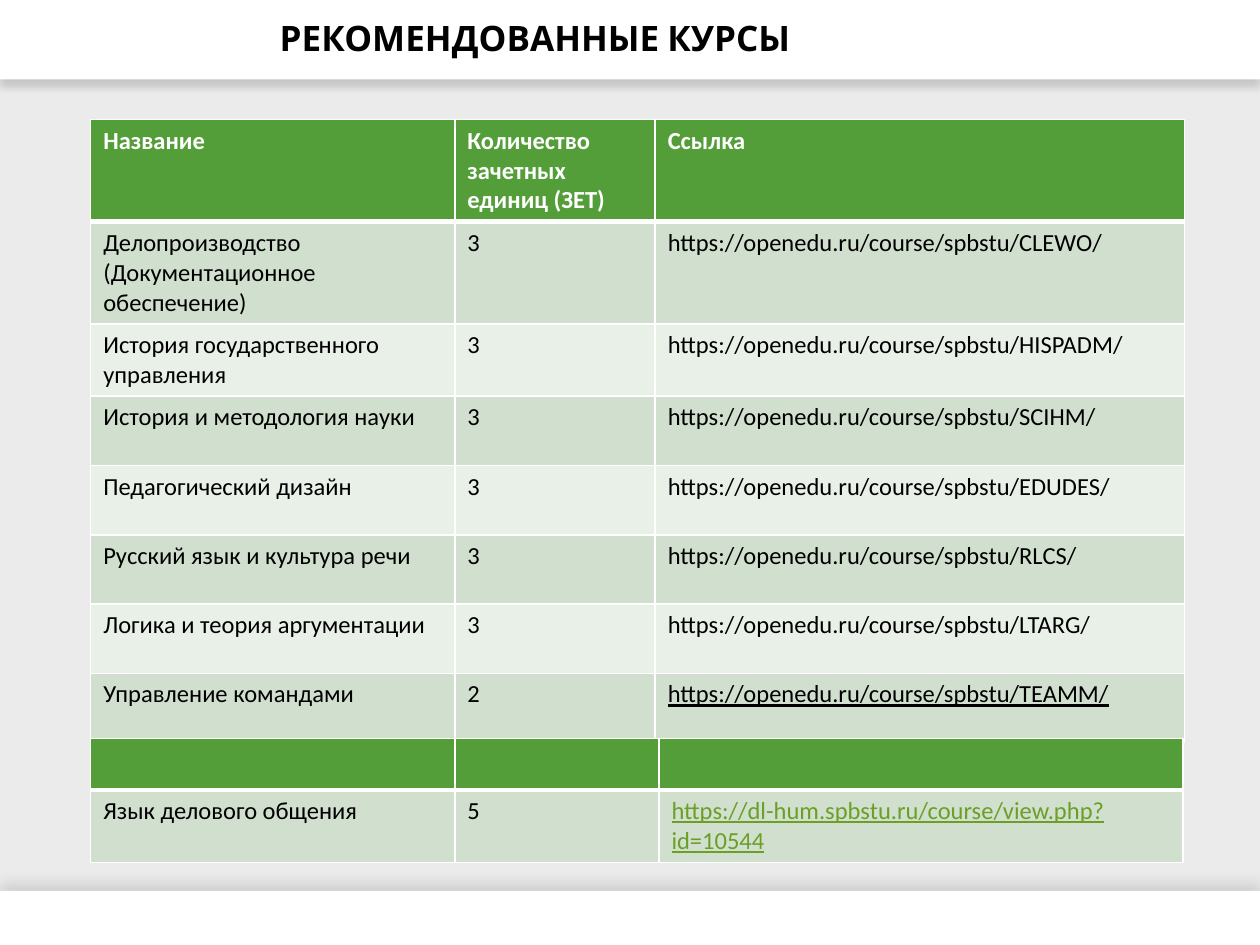
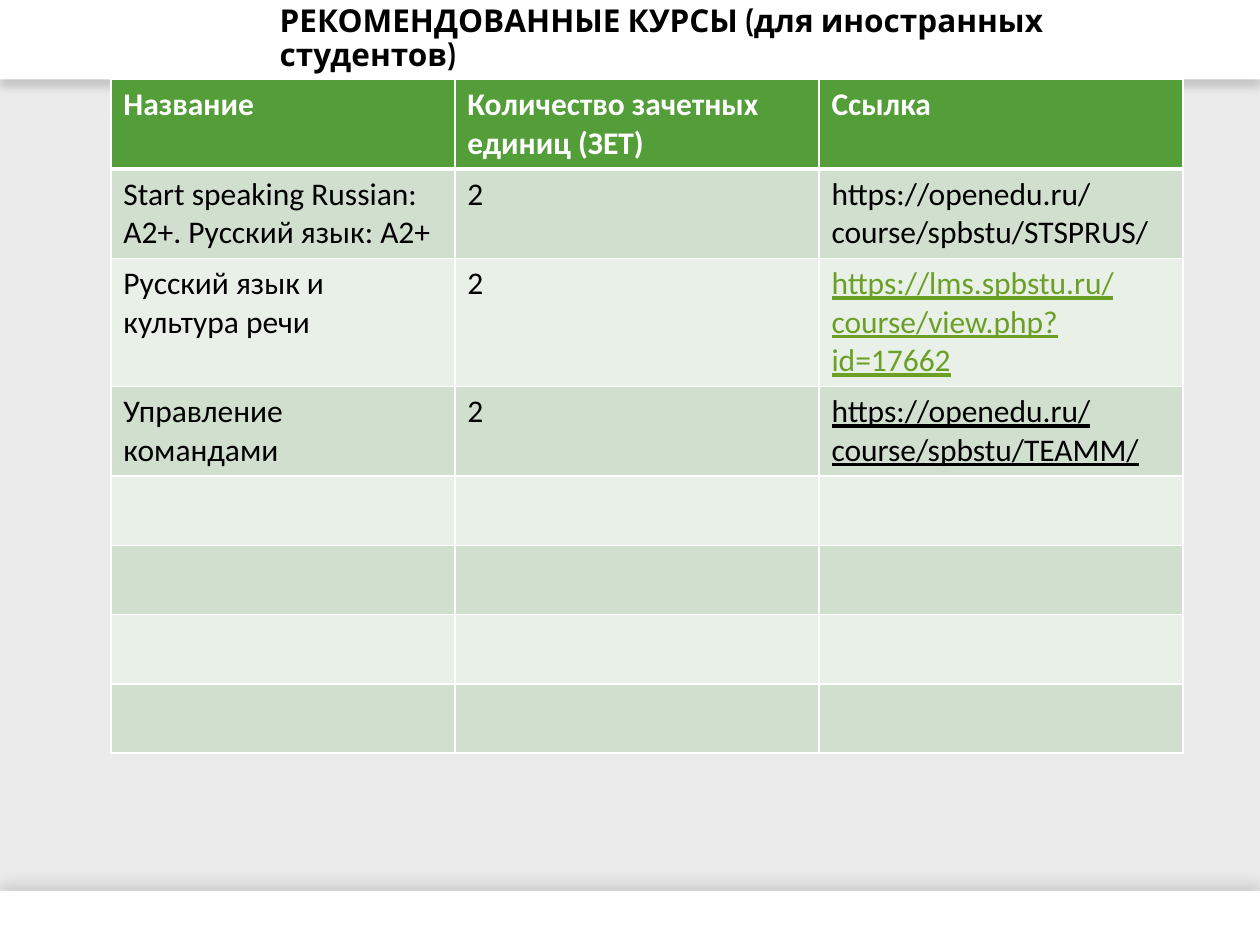
import pptx
import pptx.util
import pptx.dml.color
import pptx.enum.shapes
import pptx.enum.text
import pptx.oxml
import pptx.oxml.ns
import lxml.etree

COLOURS = {"page": "EBEBEB", "band": "FFFFFF", "head": "549E39", "odd": "D1DFCE",
           "even": "E9F0E8", "text": "000000", "link": "6B9F25"}
WIDTH, HEIGHT = 10, 7.5
BAND_TOP, BAND_BOTTOM = 0.63, 0.43
TITLE_LEFT, TITLE_WIDTH = 2.12, 7.38
TITLE_FONT, TABLE_FONT = "Cabin", "Calibri"
THIN, THICK = 1, 3

HEADINGS = ("Название", "Количество зачетных единиц (ЗЕТ)", "Ссылка")
BLANK = ("", "", "")
OPEN_COURSES = "https://openedu.ru/course/spbstu/"

SLIDES = [
    {"title": "РЕКОМЕНДОВАННЫЕ КУРСЫ", "size": 20, "tables": [
        {"left": 0.72, "top": 0.95, "columns": (2.89, 1.59, 4.2), "row": 0.55, "size": 14, "rows": [
            HEADINGS,
            ("Делопроизводство (Документационное обеспечение)", "3", OPEN_COURSES + "CLEWO/"),
            ("История государственного управления", "3", OPEN_COURSES + "HISPADM/"),
            ("История и методология науки", "3", OPEN_COURSES + "SCIHM/"),
            ("Педагогический дизайн", "3", OPEN_COURSES + "EDUDES/"),
            ("Русский язык и культура речи", "3", OPEN_COURSES + "RLCS/"),
            ("Логика и теория аргументации", "3", OPEN_COURSES + "LTARG/"),
            ("Управление командами", "2", OPEN_COURSES + "TEAMM/"),
        ]},
        {"left": 0.72, "top": 5.86, "columns": (2.89, 1.62, 4.16), "row": 0.41, "size": 14, "rows": [
            BLANK,
            ("Язык делового общения", "5", "https://dl-hum.spbstu.ru/course/view.php?id=10544"),
        ]},
    ]},
    {"title": "РЕКОМЕНДОВАННЫЕ КУРСЫ (для иностранных студентов)", "size": 18, "tables": [
        {"left": 0.88, "top": 0.63, "columns": (2.73, 2.89, 2.89), "row": 0.55, "size": 18, "rows": [
            HEADINGS,
            ("Start speaking Russian: A2+. Русский язык: А2+", "2", OPEN_COURSES + "STSPRUS/"),
            ("Русский язык и культура речи", "2", "https://lms.spbstu.ru/course/view.php?id=17662"),
            ("Управление командами", "2", OPEN_COURSES + "TEAMM/"),
        ] + [BLANK] * 4},
    ]},
]


def colour(name):
    return pptx.dml.color.RGBColor.from_string(COLOURS[name])


def inches(*lengths):
    return [pptx.util.Inches(length) for length in lengths]


def write(para, text, font, size, shade, bold=False, underline=False):
    span = para.add_run()
    span.text = text
    span.font.name = font
    span.font.size = pptx.util.Pt(size)
    span.font.bold = bold
    span.font.underline = underline
    span.font.color.rgb = colour(shade)


def add_band(page, master, top, height, alpha, blur, angle):
    band = page.shapes.add_shape(pptx.enum.shapes.MSO_SHAPE.RECTANGLE, *inches(0, top, WIDTH, height))
    band.fill.solid()
    band.fill.fore_color.rgb = colour("band")
    band.line.fill.background()
    effects = pptx.oxml.parse_xml(
        f'<a:effectLst {pptx.oxml.ns.nsdecls("a")}>'
        f'<a:outerShdw blurRad="{pptx.util.Pt(blur)}" dist="{pptx.util.Pt(4)}" dir="{angle * 60000}" '
        f'algn="ctr" rotWithShape="0"><a:srgbClr val="{COLOURS["text"]}">'
        f'<a:alpha val="{alpha * 1000}"/></a:srgbClr></a:outerShdw></a:effectLst>')
    band._element.spPr.append(effects)
    master.shapes._spTree.insert_element_before(band._element, "p:sp")


def add_title(page, text, size):
    title = page.shapes.title
    title.left, title.top, title.width, title.height = inches(TITLE_LEFT, 0, TITLE_WIDTH, BAND_TOP)
    frame = title.text_frame
    frame.word_wrap = True
    frame.auto_size = pptx.enum.text.MSO_AUTO_SIZE.NONE
    frame.vertical_anchor = pptx.enum.text.MSO_ANCHOR.MIDDLE
    para = frame.paragraphs[0]
    para.alignment = pptx.enum.text.PP_ALIGN.LEFT
    para.line_spacing = 0.9
    write(para, text, TITLE_FONT, size, "text", bold=True)


def set_borders(cell, row):
    widths = {"lnL": THIN, "lnR": THIN, "lnT": THICK if row == 1 else THIN,
              "lnB": THICK if row == 0 else THIN}
    properties = cell._tc.get_or_add_tcPr()
    for place, (side, width) in enumerate(widths.items()):
        line = pptx.oxml.parse_xml(
            f'<a:{side} {pptx.oxml.ns.nsdecls("a")} w="{pptx.util.Pt(width)}">'
            f'<a:solidFill><a:srgbClr val="{COLOURS["band"]}"/></a:solidFill></a:{side}>')
        properties.insert(place, line)


def add_courses(page, left, top, columns, row, size, rows):
    box = page.shapes.add_table(len(rows), len(columns),
                                *inches(left, top, sum(columns), row * len(rows)))
    table = box.table
    for column, width in zip(table.columns, columns):
        column.width = pptx.util.Inches(width)
    for i, texts in enumerate(rows):
        table.rows[i].height = pptx.util.Inches(row)
        for j, text in enumerate(texts):
            cell = table.cell(i, j)
            cell.fill.solid()
            cell.fill.fore_color.rgb = colour("head" if i == 0 else "odd" if i % 2 else "even")
            set_borders(cell, i)
            if text:
                linked = "view.php" in text
                shade = "band" if i == 0 else "link" if linked else "text"
                write(cell.text_frame.paragraphs[0], text, TABLE_FONT, size, shade,
                      bold=i == 0, underline=linked or text.endswith("TEAMM/"))


def main():
    deck = pptx.Presentation()
    deck.slide_width, deck.slide_height = inches(WIDTH, HEIGHT)
    master = deck.slide_master
    master.background.fill.solid()
    master.background.fill.fore_color.rgb = colour("page")
    for number, content in enumerate(SLIDES):
        page = deck.slides.add_slide(deck.slide_layouts[5])
        if number == 0:
            add_band(page, master, 0, BAND_TOP, 14, 4, 90)
            add_band(page, master, HEIGHT - BAND_BOTTOM, BAND_BOTTOM, 13, 9, 270)
        add_title(page, content["title"], content["size"])
        for courses in content["tables"]:
            add_courses(page, **courses)
    deck.save("out.pptx")


if __name__ == "__main__":
    main()
